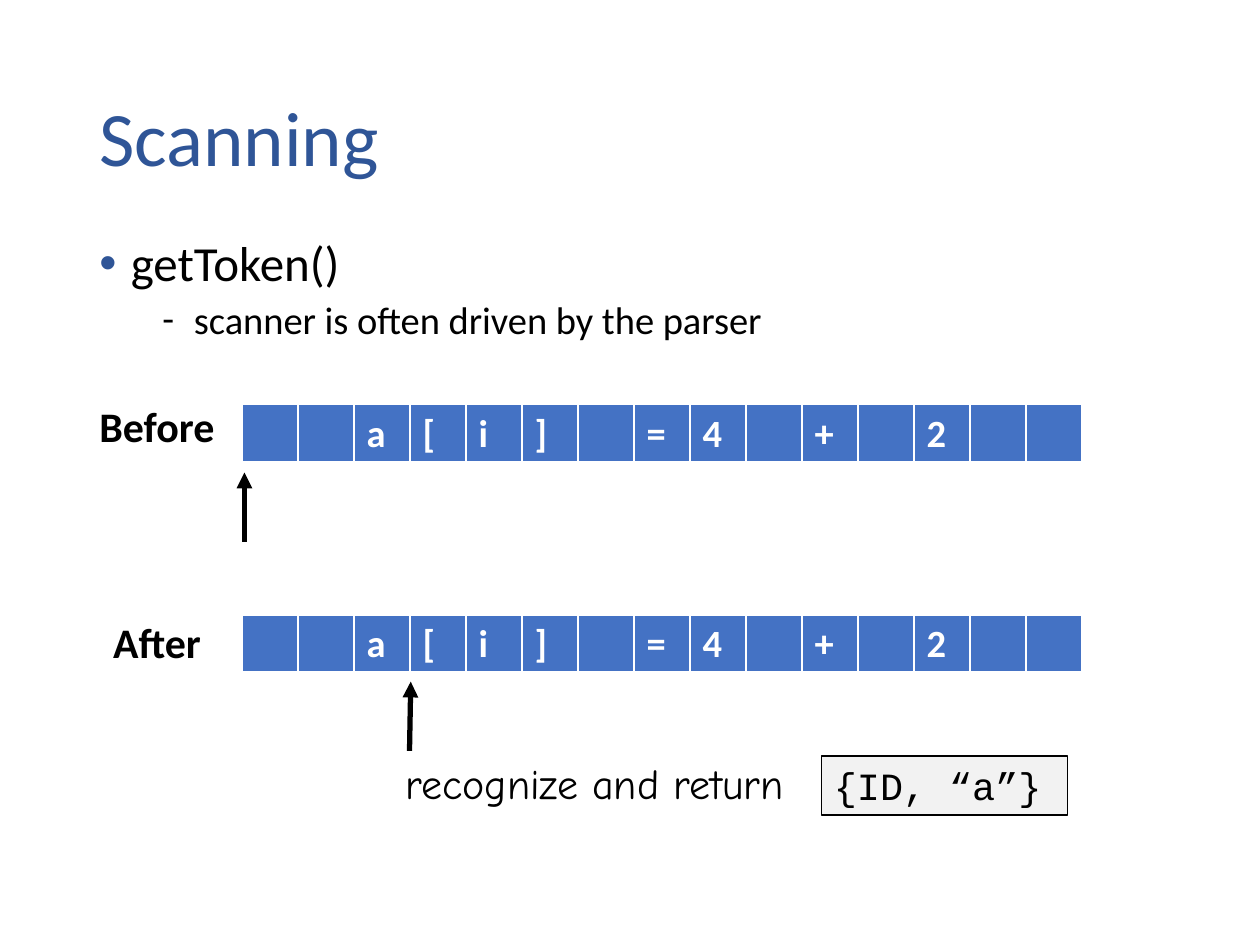
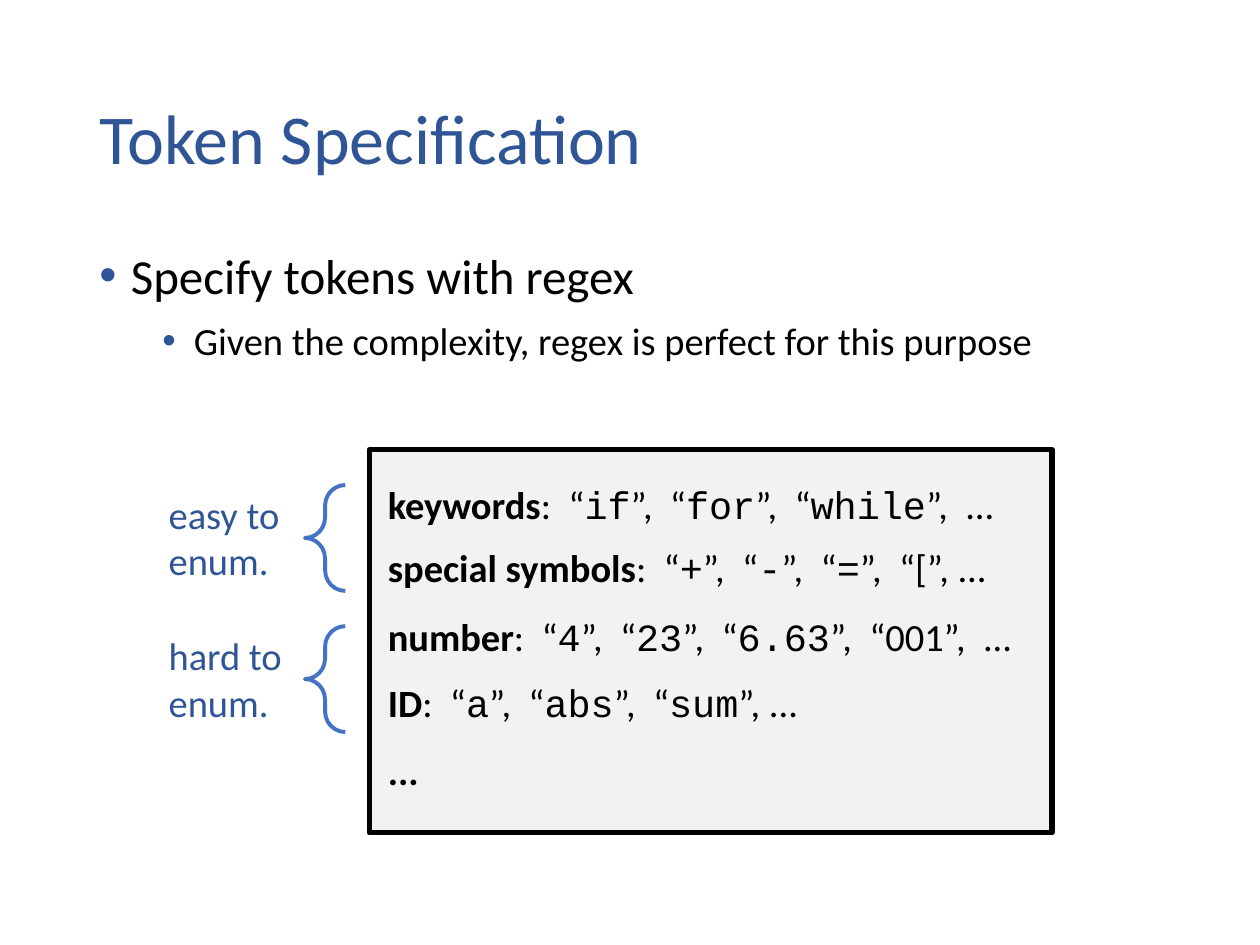
from pptx import Presentation
from pptx.dml.color import RGBColor
from pptx.enum.shapes import MSO_CONNECTOR, MSO_SHAPE
from pptx.enum.text import MSO_ANCHOR, MSO_AUTO_SIZE, PP_ALIGN
from pptx.oxml.ns import qn
from pptx.util import Inches, Pt
from lxml import etree

NAVY = RGBColor(0x2F, 0x55, 0x97)
BLUE = RGBColor(0x44, 0x72, 0xC4)
PALE = RGBColor(0xF2, 0xF2, 0xF2)
BLACK = RGBColor(0, 0, 0)
WHITE = RGBColor(0xFF, 0xFF, 0xFF)
SANS, MONO, HAND = "Calibri", "Courier New", "Comic Neue"
LINE = MSO_CONNECTOR.STRAIGHT
RECT, BRACE = MSO_SHAPE.RECTANGLE, MSO_SHAPE.LEFT_BRACE
MIDDLE, LEFT = MSO_ANCHOR.MIDDLE, PP_ALIGN.LEFT
GROW = MSO_AUTO_SIZE.SHAPE_TO_FIT_TEXT


def add(parent, tag, **attrs):
    node = etree.SubElement(parent, qn(tag))
    for name, value in attrs.items():
        node.set(name, str(value))
    return node


def solid(parent, color):
    add(add(parent, "a:solidFill"), "a:srgbClr", val=color)


class Deck:
    def __init__(self):
        self.prs = Presentation()
        self.prs.slide_width, self.prs.slide_height = Inches(10), Inches(7.5)
        self.slide = None

    def page(self, title, size):
        self.slide = self.prs.slides.add_slide(self.prs.slide_layouts[6])
        frame = self.box(0.69, 0.4, 8.62, 1.45)
        frame.vertical_anchor = MIDDLE
        frame.text = title
        frame.paragraphs[0].line_spacing = 0.9
        self.style(frame.paragraphs[0], size, NAVY)

    def style(self, para, size, color=BLACK, font=SANS, bold=False):
        for run in para.runs:
            run.font.size, run.font.name = Pt(size), font
            run.font.bold, run.font.color.rgb = bold, color

    def box(self, x, y, w, h, wrap=True):
        shape = self.slide.shapes.add_textbox(
            Inches(x), Inches(y), Inches(w), Inches(h))
        frame = shape.text_frame
        frame.word_wrap = wrap
        return frame

    def label(self, text, x, y, w, h=0.5, size=24, **look):
        frame = self.box(x, y, w, h, wrap=False)
        frame.auto_size = GROW
        frame.text = text
        for para in frame.paragraphs:
            self.style(para, size, **look)

    def bullets(self, items, w, h, space):
        """Each item is its text and mark; its place gives the level."""
        frame = self.box(0.69, 1.85, w, h)
        frame.text = "\n".join(text for text, _ in items)
        for level, (para, (_, mark)) in enumerate(zip(frame.paragraphs, items)):
            para.level = level
            para.line_spacing = space
            para.space_before = Pt(10 - 5 * level)
            self.style(para, 28 - 6 * level)
            props = para._p.get_or_add_pPr()
            props.set("marL", str(Inches(0.25 + 0.5 * level)))
            props.set("indent", str(Inches(-0.25)))
            if mark == "•":
                add(add(props, "a:buClr"), "a:srgbClr", val=NAVY)
            add(props, "a:buFont", typeface="Arial" if mark == "•" else SANS)
            add(props, "a:buChar", char=mark)

    def shape(self, kind, x, y, w, h, line, width, fill=None):
        shape = self.slide.shapes.add_shape(
            kind, Inches(x), Inches(y), Inches(w), Inches(h))
        shape.shadow.inherit = False
        shape.line.color.rgb, shape.line.width = line, Pt(width)
        if fill is None:
            shape.fill.background()
        else:
            shape.fill.solid()
            shape.fill.fore_color.rgb = fill
        return shape

    def arrow(self, x1, y1, x2, y2):
        line = self.slide.shapes.add_connector(
            LINE, Inches(x1), Inches(y1), Inches(x2), Inches(y2))
        line.line.color.rgb, line.line.width = BLACK, Pt(3)
        add(line.line._get_or_add_ln(), "a:tailEnd", type="triangle")
        add(line._element.spPr, "a:effectLst")

    def tape(self, chars, x, y, w):
        """One row of cells, one character in each."""
        table = self.slide.shapes.add_table(
            1, len(chars), Inches(x), Inches(y), Inches(w), Inches(0.47)).table
        table.rows[0].height = Inches(0.41)
        for col, char in enumerate(chars):
            table.columns[col].width = Inches(w / len(chars))
            cell = table.cell(0, col)
            props = cell._tc.get_or_add_tcPr()
            for side, width in (("L", 1), ("R", 1), ("T", 1), ("B", 3)):
                solid(add(props, "a:ln" + side, w=Pt(width)), WHITE)
            cell.fill.solid()
            cell.fill.fore_color.rgb = BLUE
            if char != " ":
                cell.text = char
                self.style(cell.text_frame.paragraphs[0], 22, WHITE, bold=True)

    def rule(self, name, rest, y, w):
        """A bold name, then text whose parts between backticks are code."""
        frame = self.box(2.98, y, w, 0.47, wrap=False)
        frame.auto_size = GROW
        para = frame.paragraphs[0]
        para.text = name
        self.style(para, 22, bold=True)
        for index, part in enumerate(rest.split("`") if rest else []):
            run = para.add_run()
            run.text = part
            run.font.size, run.font.color.rgb = Pt(22), BLACK
            run.font.name = MONO if index % 2 else SANS

    def group(self, text, y, w):
        brace = self.shape(BRACE, 2.42, y, 0.32, 0.84, BLUE, 2.25)
        brace.adjustments[0] = 0.51
        self.label(text, 1.24, y, w, 0.84, 22, color=NAVY)


deck = Deck()

# Slide 1: the scanner before and after one token
deck.page("Scanning", 44)
deck.bullets([("getToken()", "•"),
              ("scanner is often driven by the parser", "-")], 6.34, 0.98, 0.9)
TAPE = "  a[i] =4 + 2  "
for top in (3.21, 4.88):
    deck.tape(TAPE, 1.92, top, 6.67)
deck.label("Before", 0.69, 3.13, 1.13, bold=True)
deck.label("After", 0.8, 4.84, 0.91, bold=True)
deck.arrow(1.94, 4.3, 1.94, 3.75)
deck.arrow(3.25, 5.96, 3.26, 5.41)
deck.label("recognize and return", 3.12, 5.96, 3.53, font=HAND)
token = deck.shape(RECT, 6.52, 6, 1.95, 0.47, BLACK, 0.75, PALE)
token.text_frame.text = "{ID, “a”}"
token.text_frame.word_wrap = True
token.text_frame.auto_size = GROW
token.text_frame.paragraphs[0].alignment = LEFT
deck.style(token.text_frame.paragraphs[0], 22, font=MONO)

# Slide 2: kinds of token
deck.page("Token Specification", 40)
deck.bullets([("Specify tokens with regex", "•"),
              ("Given the complexity, regex is perfect for this purpose", "•")],
             9.14, 2.04, 1.1)
deck.shape(RECT, 2.93, 3.57, 5.42, 3.04, BLACK, 3, PALE)
RULES = [
    ("keywords", ":  “`if`”,  “`for`”,  “`while`”,  ...", 3.77, 5.08),
    ("special symbols", ":  “`+`”,  “`-`”,  “`=`”,  “[”, ...", 4.27, 5.02),
    ("number", ":  “`4`”,  “`23`”,  “`6.63`”,  “001”,  ...", 4.82, 5.23),
    ("ID", ":  “`a`”,  “`abs`”,  “`sum`”, ...", 5.34, 3.51),
    ("...", "", 5.88, 0.45),
]
for entry in RULES:
    deck.rule(*entry)
deck.group("easy to\nenum.", 3.85, 1.09)
deck.group("hard to\nenum.", 4.97, 1.11)

deck.prs.save("out.pptx")
